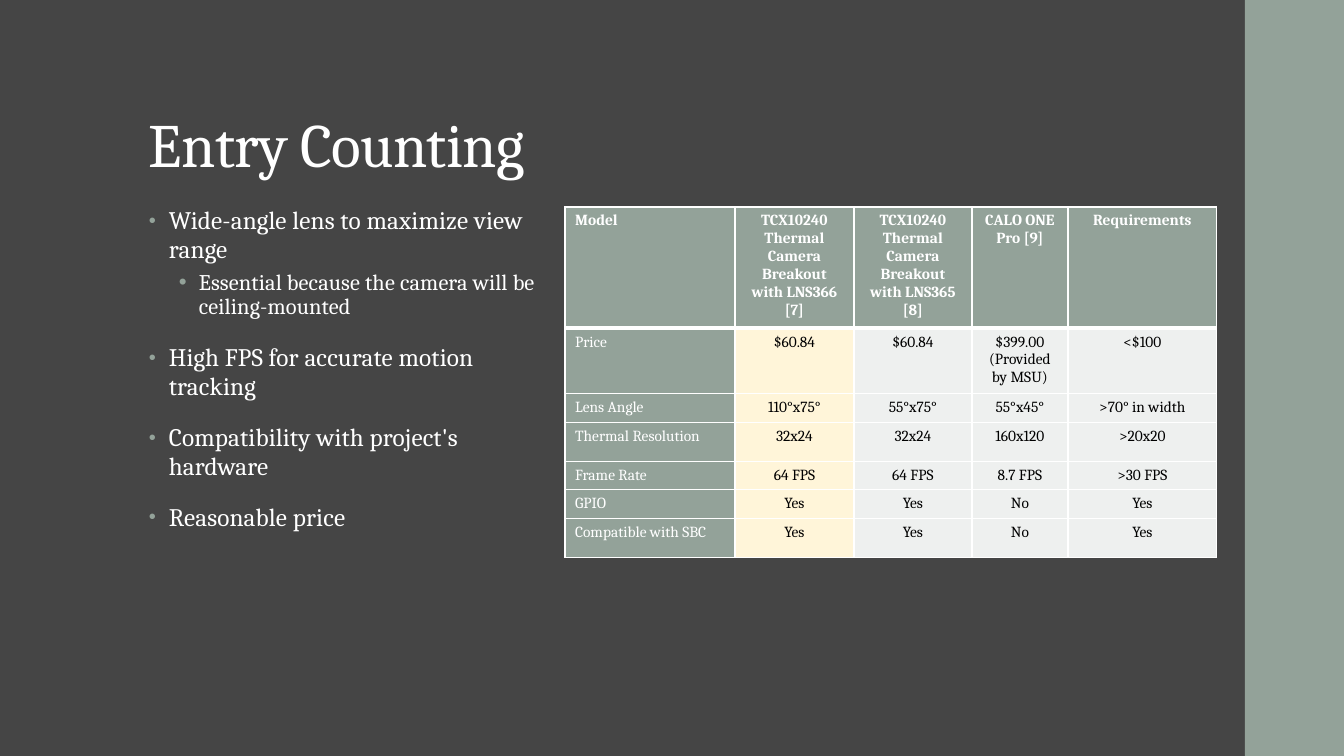
import pptx
import pptx.dml.color
import pptx.enum.shapes
import pptx.enum.text
import pptx.oxml
import pptx.oxml.ns
import pptx.util

TITLE = "Entry Counting"
BULLETS = [
    (0, "Wide-angle lens to maximize view range"),
    (1, "Essential because the camera will be ceiling-mounted"),
    (0, "High FPS for accurate motion tracking"),
    (0, "Compatibility with project's hardware"),
    (0, "Reasonable price"),
]
CAMERAS = [
    ("Model", "TCX10240 Thermal Camera Breakout with LNS366 [7]",
     "TCX10240 Thermal Camera Breakout with LNS365 [8]", "CALO ONE Pro [9]", "Requirements"),
    ("Price", "$60.84", "$60.84", "$399.00 (Provided by MSU)", "<$100"),
    ("Lens Angle", "110°x75°", "55°x75°", "55°x45°", ">70° in width"),
    ("Thermal Resolution", "32x24", "32x24", "160x120", ">20x20"),
    ("Frame Rate", "64 FPS", "64 FPS", "8.7 FPS", ">30 FPS"),
    ("GPIO", "Yes", "Yes", "No", "Yes"),
    ("Compatible with SBC", "Yes", "Yes", "No", "Yes"),
]
COLUMN_WIDTHS = [170, 119, 118, 96, 149]
ROW_HEIGHTS = [117, 64, 28, 39, 28, 28, 39]
LEVELS = [
    dict(size=18, line=0.95, before=14, after=2, indent=20, bullet_size=80),
    dict(size=16, line=0.9, before=3, after=3, indent=50, bullet_size=100),
]

FONT = "Cambria"
SLIDE_WIDTH, SLIDE_HEIGHT = 1344, 756
TITLE_BOX = (139, 40, 1069, 146)
BODY_BOX = (139, 202, 417, 480)
SIDE_BAR = (1245, 0, 99, 756)
TABLE_LEFT, TABLE_TOP = 565, 207
HANGING = 20

DARK = pptx.dml.color.RGBColor(0x45, 0x45, 0x45)
SAGE = pptx.dml.color.RGBColor(0x93, 0xA2, 0x99)
CREAM = pptx.dml.color.RGBColor(0xFF, 0xF5, 0xD9)
PALE = pptx.dml.color.RGBColor(0xEE, 0xF0, 0xEF)
WHITE = pptx.dml.color.RGBColor(0xFF, 0xFF, 0xFF)
BLACK = pptx.dml.color.RGBColor(0, 0, 0)
ALIGN = pptx.enum.text.PP_ALIGN


def px(length):
    return pptx.util.Emu(round(length * 914400 / 100.8))


def xml(markup):
    return pptx.oxml.parse_xml(markup.replace(">", f" {pptx.oxml.ns.nsdecls('a')}>", 1))


def write(paragraph, text, size, color=WHITE, bold=False, align=ALIGN.LEFT,
          line=1.0, before=0, after=0, spacing=0):
    paragraph.alignment = align
    paragraph.line_spacing = line
    paragraph.space_before = pptx.util.Pt(before)
    paragraph.space_after = pptx.util.Pt(after)
    run = paragraph.add_run()
    run.text = text
    run.font.name = FONT
    run.font.size = pptx.util.Pt(size)
    run.font.bold = bold
    run.font.color.rgb = color
    if spacing:
        run.font._element.set("spc", str(spacing))


def add_text_frame(slide, box, anchor):
    frame = slide.shapes.add_textbox(*map(px, box)).text_frame
    frame.word_wrap = True
    frame.vertical_anchor = anchor
    return frame


def add_bullet(paragraph, level, indent, size):
    properties = paragraph._p.get_or_add_pPr()
    properties.set("lvl", str(level))
    properties.set("marL", str(px(indent)))
    properties.set("indent", str(-px(HANGING)))
    for markup in (f'<a:buClr><a:srgbClr val="{SAGE}"/></a:buClr>',
                   f'<a:buSzPct val="{size * 1000}"></a:buSzPct>',
                   '<a:buFont typeface="Arial"></a:buFont>',
                   '<a:buChar char="•"></a:buChar>'):
        properties.append(xml(markup))


def add_borders(cell, row):
    widths = {"L": 1, "R": 1, "T": 3 if row == 1 else 1, "B": 3 if row == 0 else 1}
    for position, (side, width) in enumerate(widths.items()):
        border = xml(f'<a:ln{side} w="{pptx.util.Pt(width)}"><a:solidFill>'
                     f'<a:srgbClr val="{WHITE}"/></a:solidFill></a:ln{side}>')
        cell._tc.get_or_add_tcPr().insert(position, border)


def add_camera_table(slide):
    table = slide.shapes.add_table(
        len(CAMERAS), len(COLUMN_WIDTHS), px(TABLE_LEFT), px(TABLE_TOP),
        px(sum(COLUMN_WIDTHS)), px(sum(ROW_HEIGHTS))).table
    for column, width in zip(table.columns, COLUMN_WIDTHS):
        column.width = px(width)
    for row, height in zip(table.rows, ROW_HEIGHTS):
        row.height = px(height)
    for row, values in enumerate(CAMERAS):
        for column, text in enumerate(values):
            cell = table.cell(row, column)
            heading = row == 0 or column == 0
            cell.fill.solid()
            cell.fill.fore_color.rgb = SAGE if heading else CREAM if column == 1 else PALE
            add_borders(cell, row)
            write(cell.text_frame.paragraphs[0], text, 11, bold=row == 0,
                  color=WHITE if heading else BLACK,
                  align=ALIGN.CENTER if column else ALIGN.LEFT)


def main():
    presentation = pptx.Presentation()
    presentation.slide_width = px(SLIDE_WIDTH)
    presentation.slide_height = px(SLIDE_HEIGHT)
    slide = presentation.slides.add_slide(presentation.slide_layouts[6])
    slide.background.fill.solid()
    slide.background.fill.fore_color.rgb = DARK

    bar = slide.shapes.add_shape(pptx.enum.shapes.MSO_SHAPE.RECTANGLE, *map(px, SIDE_BAR))
    bar.shadow.inherit = False
    bar.fill.solid()
    bar.fill.fore_color.rgb = SAGE
    bar.line.fill.background()

    title = add_text_frame(slide, TITLE_BOX, pptx.enum.text.MSO_ANCHOR.BOTTOM)
    write(title.paragraphs[0], TITLE, 44, line=0.9, spacing=-50)

    body = add_text_frame(slide, BODY_BOX, pptx.enum.text.MSO_ANCHOR.TOP)
    for index, (level, text) in enumerate(BULLETS):
        paragraph = body.add_paragraph() if index else body.paragraphs[0]
        style = LEVELS[level]
        add_bullet(paragraph, level, style["indent"], style["bullet_size"])
        write(paragraph, text, style["size"], line=style["line"], spacing=10,
              before=style["before"] if index else 0, after=style["after"])

    add_camera_table(slide)
    presentation.save("out.pptx")


if __name__ == "__main__":
    main()
